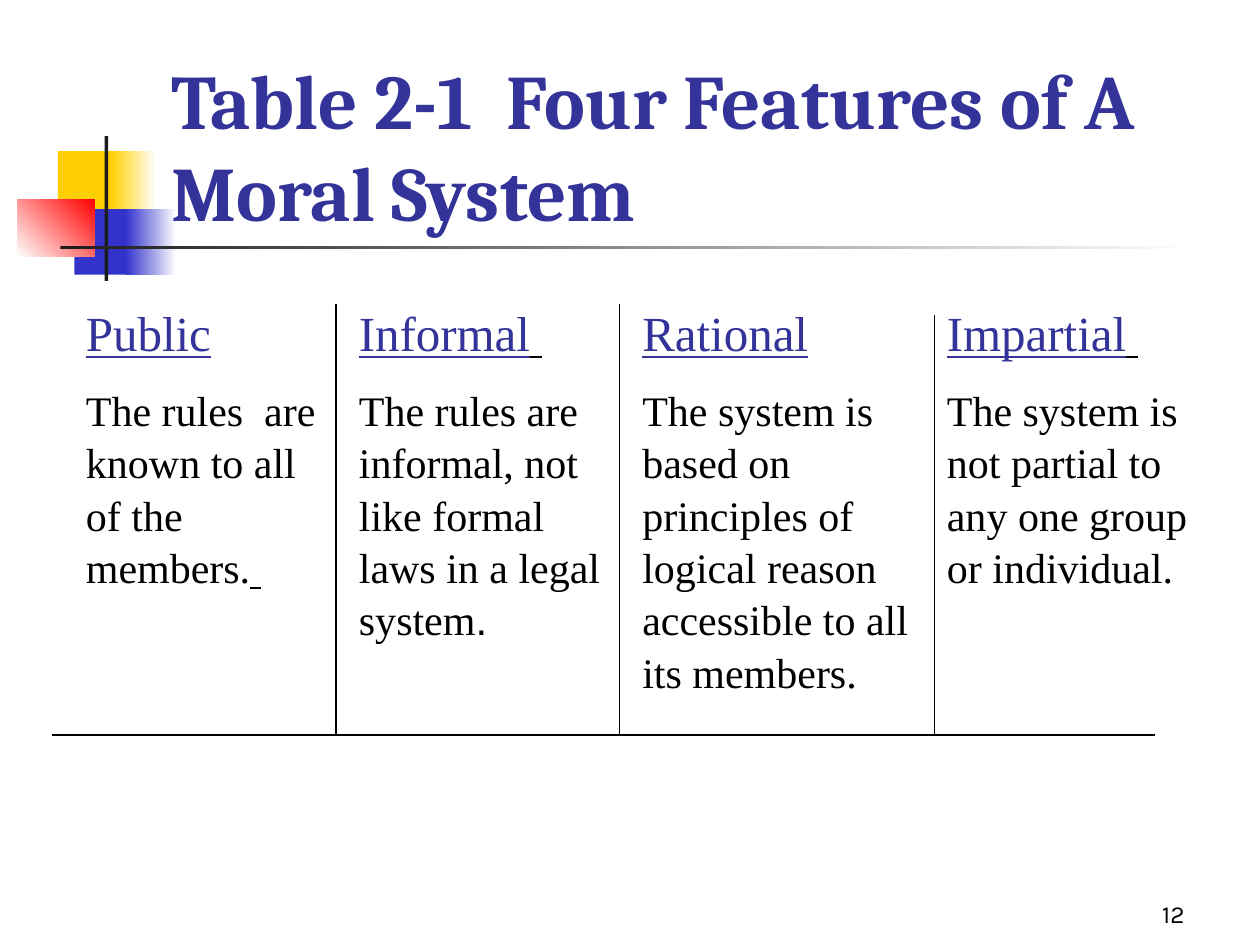
from lxml import etree
from pptx import Presentation
from pptx.dml.color import RGBColor
from pptx.enum.shapes import MSO_CONNECTOR, MSO_SHAPE
from pptx.enum.text import MSO_ANCHOR, PP_ALIGN
from pptx.oxml.ns import qn
from pptx.util import Inches, Pt

RECTANGLE = MSO_SHAPE.RECTANGLE
STRAIGHT = MSO_CONNECTOR.STRAIGHT
TOP, BOTTOM = MSO_ANCHOR.TOP, MSO_ANCHOR.BOTTOM
LEFT, RIGHT = PP_ALIGN.LEFT, PP_ALIGN.RIGHT

YELLOW = RGBColor(0xFF, 0xCF, 0x01)
BLUE = RGBColor(0x33, 0x33, 0xCC)
RED = RGBColor(0xFF, 0x00, 0x00)
WHITE = RGBColor(0xFF, 0xFF, 0xFF)
CHARCOAL = RGBColor(0x1C, 0x1C, 0x1C)
NAVY = RGBColor(0x33, 0x33, 0x99)
BLACK = RGBColor(0x00, 0x00, 0x00)

TITLE_FONT, BODY_FONT = "Cambria", "Times New Roman"
STOP_FONT, NUMBER_FONT = "Arial", "Karla"

# Content grid: 120 columns by 90 rows on a 10 by 7.5 inch slide.
CELL = Inches(1) / 12
TEXT_ROW, TABLE_BOTTOM = 28, 70

# Decoration: left, top, width, height in inches; colours; gradient angle.
ORNAMENTS = [
    ((0.46, 1.2, 0.48, 0.52), [YELLOW], 0),
    ((0.88, 1.2, 0.36, 0.52), [YELLOW, WHITE], 0),
    ((0.59, 1.66, 0.46, 0.52), [BLUE], 0),
    ((1, 1.66, 0.4, 0.52), [BLUE, WHITE], 0),
    ((0.14, 1.58, 0.61, 0.46), [WHITE, RED], 45),
    ((0.83, 1.08, 0.03, 1.15), [CHARCOAL], 0),
    ((0.48, 1.95, 9, 0.03), [CHARCOAL, WHITE], 0),
]

# Features: grid column, width, height; heading runs; description runs.
HEADING = (BODY_FONT, 28, NAVY, False, True)
HEADING_GAP = (" ", BODY_FONT, 28, BLACK, False, True)
DESCRIPTION = (BODY_FONT, 24, BLACK)
FEATURES = [
    ((7, 26, 28), [("Public", *HEADING)],
     [("The rules  are known to all of the members.", *DESCRIPTION),
      (" ", *DESCRIPTION, False, True)]),
    ((33, 26, 45), [("Informal", *HEADING), HEADING_GAP],
     [("The rules are informal, not like formal laws in a legal system",
       *DESCRIPTION),
      (".", STOP_FONT, 24, BLACK)]),
    ((60, 31, 45), [("Rational", *HEADING)],
     [("The system is based on principles of logical reason accessible "
       "to all its members.", *DESCRIPTION)]),
    ((89, 26, 36), [("Impartial", *HEADING), HEADING_GAP],
     [("The system is not partial to any one group or individual.",
       *DESCRIPTION)]),
]

# Rules: start column, start row, end column, end row.
RULES = [
    (59, 29, 59, TABLE_BOTTOM),
    (32, 29, 32, TABLE_BOTTOM),
    (89, 30, 89, TABLE_BOTTOM),
    (110, TABLE_BOTTOM, 5, TABLE_BOTTOM),
]


def grid(*cells):
    return [round(cell * CELL) for cell in cells]


def add_ornament(slide, box, colors, angle):
    shape = slide.shapes.add_shape(RECTANGLE, *map(Inches, box))
    shape.shadow.inherit = False
    shape.line.fill.background()
    if len(colors) == 1:
        shape.fill.solid()
        shape.fill.fore_color.rgb = colors[0]
        return
    shape.fill.gradient()
    shape.fill.gradient_angle = angle
    for stop, color in zip(shape.fill.gradient_stops, colors):
        stop.color.rgb = color


def add_run(paragraph, text, font, size, color, bold=False, underline=False):
    run = paragraph.add_run()
    run.text = text
    run.font.name = font
    run.font.size = Pt(size)
    run.font.color.rgb = color
    run.font.bold = bold
    run.font.underline = underline


def add_text(slide, box, paragraphs, anchor=TOP, alignment=LEFT, spacing=1.0):
    """Add a wrapped text box; each paragraph is a list of runs."""
    frame = slide.shapes.add_textbox(*box).text_frame
    frame.word_wrap = True
    frame.vertical_anchor = anchor
    for index, runs in enumerate(paragraphs):
        paragraph = frame.add_paragraph() if index else frame.paragraphs[0]
        paragraph.alignment = alignment
        paragraph.line_spacing = spacing
        if index:
            paragraph.space_before = Pt(12)
        for run in runs:
            add_run(paragraph, *run)


def add_rule(slide, ends):
    connector = slide.shapes.add_connector(STRAIGHT, *grid(*ends))
    connector.line.color.rgb = BLACK
    connector.line.width = Pt(0.75)
    etree.SubElement(connector._element.spPr, qn("a:effectLst"))


def main():
    presentation = Presentation()
    presentation.slide_width, presentation.slide_height = grid(120, 90)
    slide = presentation.slides.add_slide(presentation.slide_layouts[6])

    for ornament in ORNAMENTS:
        add_ornament(slide, *ornament)

    title = ("Table 2-1  Four Features of A Moral System",
             TITLE_FONT, 44, NAVY, True)
    add_text(slide, map(Inches, (1.26, 0.68, 8.52, 1.25)), [[title]], BOTTOM)

    for (column, width, height), heading, description in FEATURES:
        add_text(slide, grid(column, TEXT_ROW, width, height),
                 [heading, description], spacing=1.04)
    for ends in RULES:
        add_rule(slide, ends)

    add_text(slide, grid(89, 83, 25, 6), [[("12", NUMBER_FONT, 14, BLACK)]],
             BOTTOM, RIGHT)
    presentation.save("out.pptx")


if __name__ == "__main__":
    main()
